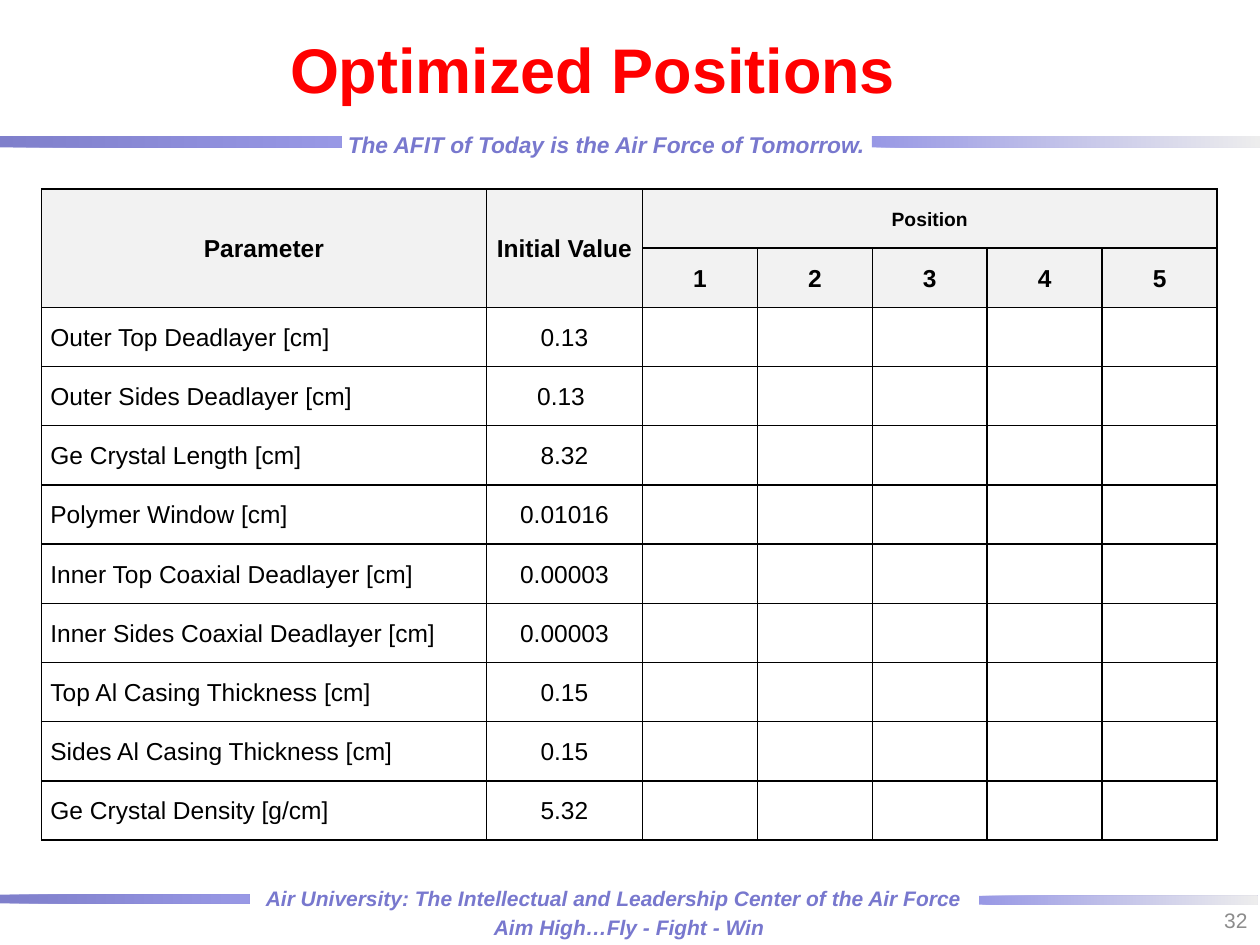
from dataclasses import dataclass

from lxml.etree import SubElement
from pptx import Presentation
from pptx.dml.color import RGBColor
from pptx.enum.shapes import MSO_SHAPE
from pptx.enum.text import MSO_ANCHOR, MSO_AUTO_SIZE, PP_ALIGN
from pptx.oxml.ns import qn
from pptx.util import Inches, Pt


@dataclass(frozen=True)
class Theme:
    font: str = "Arial"
    title: str = "FF0000"
    motto: str = "7878CE"
    number: str = "8C8C8C"
    text: str = "000000"
    header_fill: str = "F2F2F2"
    body_fill: str = "FFFFFF"
    bar_dark: str = "000099"
    bar_middle: str = "3333CC"
    bar_light: str = "DDDDDD"
    title_size: int = 36
    motto_size: int = 13
    footer_size: int = 12
    table_size: int = 14
    position_size: int = 11


THEME = Theme()

PARAMETERS = [
    ("Outer Top Deadlayer [cm]", "0.13"),
    ("Outer Sides Deadlayer [cm]", "0.13 "),
    ("Ge Crystal Length [cm]", "8.32"),
    ("Polymer Window [cm]", "0.01016"),
    ("Inner Top Coaxial Deadlayer [cm]", "0.00003"),
    ("Inner Sides Coaxial Deadlayer [cm]", "0.00003"),
    ("Top Al Casing Thickness [cm]", "0.15"),
    ("Sides Al Casing Thickness [cm]", "0.15"),
    ("Ge Crystal Density [g/cm]", "5.32"),
]
POSITION_COUNT = 5
HEADER_ROWS = 2


def inches(box):
    return [Inches(length) for length in box]


def add_run(paragraph, text, size, color, bold=False, italic=False):
    run = paragraph.add_run()
    run.text = text
    run.font.name = THEME.font
    run.font.size = Pt(size)
    run.font.bold = bold
    run.font.italic = italic
    run.font.color.rgb = RGBColor.from_string(color)


def place_title(slide, box, text):
    title = slide.shapes.title
    title.left, title.top, title.width, title.height = inches(box)
    title.text_frame.vertical_anchor = MSO_ANCHOR.MIDDLE
    paragraph = title.text_frame.paragraphs[0]
    paragraph.alignment = PP_ALIGN.CENTER
    add_run(paragraph, text, THEME.title_size, THEME.title, bold=True)


def add_bar(slide, box, start_color, end_color):
    bar = slide.shapes.add_shape(MSO_SHAPE.RECTANGLE, *inches(box))
    bar.shadow.inherit = False
    bar.line.fill.background()
    bar.fill.gradient()
    bar.fill.gradient_angle = 0
    for stop, color in zip(bar.fill.gradient_stops, (start_color, end_color)):
        stop.color.rgb = RGBColor.from_string(color)
    for color_element in bar.element.spPr.iter(qn("a:srgbClr")):
        SubElement(color_element, qn("a:alpha"), val="50000")


def add_motto(slide, box, text, size):
    text_box = slide.shapes.add_textbox(*inches(box))
    frame = text_box.text_frame
    frame.word_wrap = False
    frame.auto_size = MSO_AUTO_SIZE.SHAPE_TO_FIT_TEXT
    frame.margin_left = frame.margin_right = Inches(0.09)
    add_run(frame.paragraphs[0], text, size, THEME.motto, bold=True, italic=True)


def add_page_number(slide, box, text):
    frame = slide.shapes.add_textbox(*inches(box)).text_frame
    frame.word_wrap = True
    frame.vertical_anchor = MSO_ANCHOR.MIDDLE
    paragraph = frame.paragraphs[0]
    paragraph.alignment = PP_ALIGN.RIGHT
    add_run(paragraph, text, THEME.footer_size, THEME.number)


def add_header_band(slide, box):
    left, top, width, height = box
    add_bar(slide, (left, top, 2.71, height), THEME.bar_dark, THEME.bar_middle)
    add_bar(slide, (left + 6.92, top, width - 6.92, height), THEME.bar_middle, THEME.bar_light)
    add_motto(slide, (left + 2.67, top - 0.09, 4.35, 0.31),
              "The AFIT of Today is the Air Force of Tomorrow.", THEME.motto_size)


def add_footer_band(slide, box):
    left, top, width, height = box
    add_bar(slide, (left, top + 0.12, 1.98, 0.07), THEME.bar_dark, THEME.bar_middle)
    add_bar(slide, (left + 7.77, top + 0.13, 2.21, 0.07), THEME.bar_middle, THEME.bar_light)
    add_motto(slide, (left + 2.02, top, 5.76, 0.29),
              "Air University: The Intellectual and Leadership Center of the Air Force",
              THEME.footer_size)
    add_motto(slide, (left + 3.83, top + 0.23, 2.36, 0.29),
              "Aim High…Fly - Fight - Win", THEME.footer_size)
    add_page_number(slide, (left + width - 2.33, top + height - 0.4, 2.33, 0.4), "32")


def format_cell(cell, fill_color):
    properties = cell._tc.get_or_add_tcPr()
    for side in ("a:lnL", "a:lnR", "a:lnT", "a:lnB"):
        border = SubElement(properties, qn(side), w=str(Pt(1)))
        border_fill = SubElement(border, qn("a:solidFill"))
        SubElement(border_fill, qn("a:srgbClr"), val=THEME.text)
    cell.fill.solid()
    cell.fill.fore_color.rgb = RGBColor.from_string(fill_color)
    cell.vertical_anchor = MSO_ANCHOR.MIDDLE
    cell.margin_left = cell.margin_right = Inches(0.07)
    cell.margin_top = cell.margin_bottom = 0


def write_cell(cell, text, size=THEME.table_size, bold=False, alignment=PP_ALIGN.CENTER):
    paragraph = cell.text_frame.paragraphs[0]
    paragraph.alignment = alignment
    paragraph.line_spacing = 1.07
    add_run(paragraph, text, size, THEME.text, bold=bold)


def add_parameter_table(slide, box):
    row_count = HEADER_ROWS + len(PARAMETERS)
    column_count = 2 + POSITION_COUNT
    width, height = box[2:]
    table = slide.shapes.add_table(row_count, column_count, *inches(box)).table
    table.first_row = False
    table.horz_banding = False

    label_widths = [3.53, 1.24]
    position_width = (width - sum(label_widths)) / POSITION_COUNT
    for column, column_width in zip(table.columns, label_widths + [position_width] * POSITION_COUNT):
        column.width = Inches(column_width)
    for row_index, row in enumerate(table.rows):
        row.height = Inches(height / row_count)
        for cell in row.cells:
            format_cell(cell, THEME.header_fill if row_index < HEADER_ROWS else THEME.body_fill)

    for column_index, heading in enumerate(("Parameter", "Initial Value")):
        table.cell(0, column_index).merge(table.cell(1, column_index))
        write_cell(table.cell(0, column_index), heading, bold=True)
    table.cell(0, 2).merge(table.cell(0, column_count - 1))
    write_cell(table.cell(0, 2), "Position", THEME.position_size, bold=True)
    for position in range(1, POSITION_COUNT + 1):
        write_cell(table.cell(1, position + 1), str(position), bold=True)

    for row_index, (parameter, value) in enumerate(PARAMETERS, HEADER_ROWS):
        write_cell(table.cell(row_index, 0), parameter, alignment=PP_ALIGN.LEFT)
        write_cell(table.cell(row_index, 1), value)


def main():
    presentation = Presentation()
    presentation.slide_width = Inches(10)
    presentation.slide_height = Inches(7.5)
    slide = presentation.slides.add_slide(presentation.slide_layouts[5])
    add_footer_band(slide, (0, 6.98, 10, 0.52))
    add_header_band(slide, (0, 1.08, 10, 0.09))
    place_title(slide, (1.08, 0, 7.25, 1.08), "Optimized Positions")
    add_parameter_table(slide, (0.33, 1.5, 9.33, 5.17))
    presentation.save("out.pptx")


if __name__ == "__main__":
    main()
